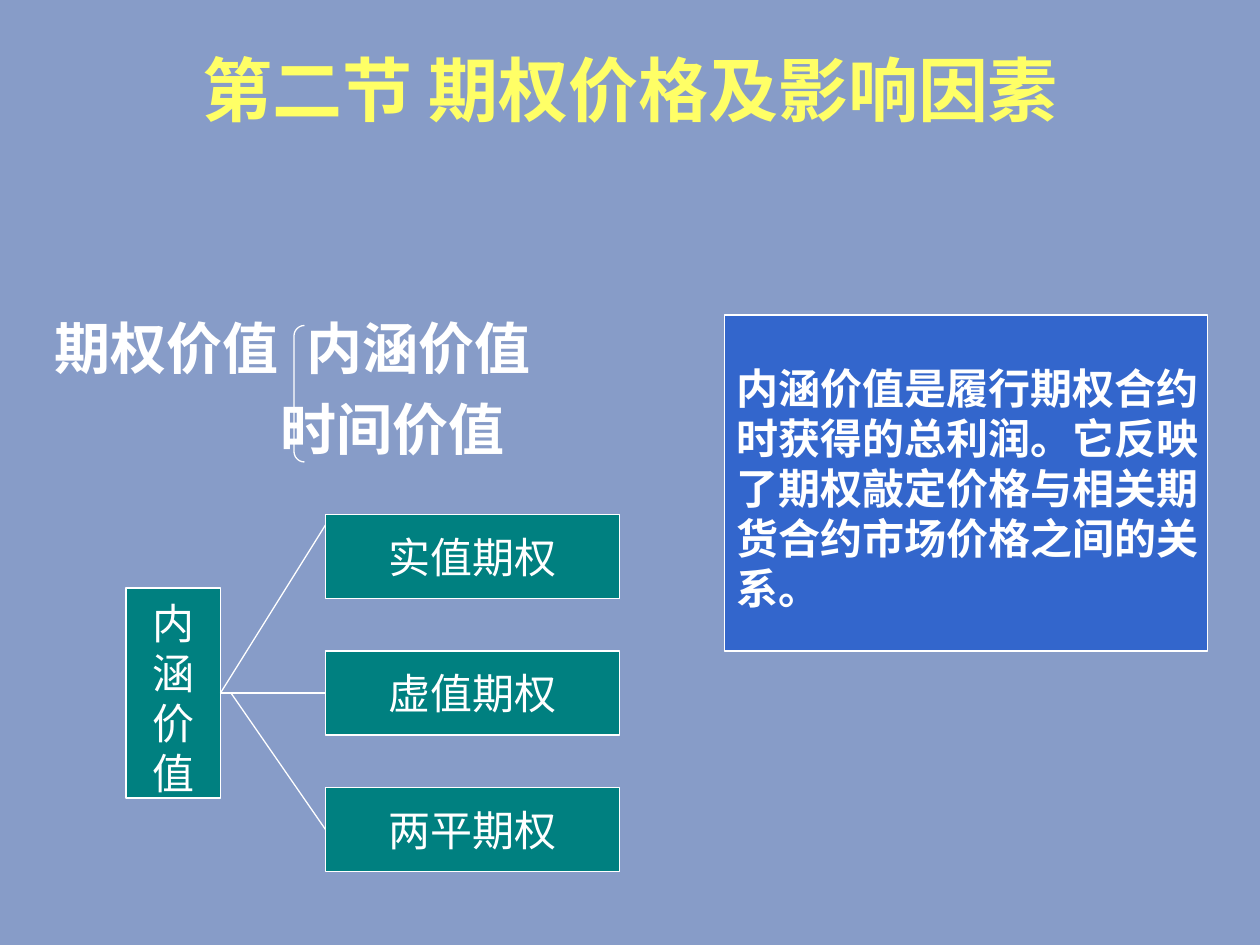
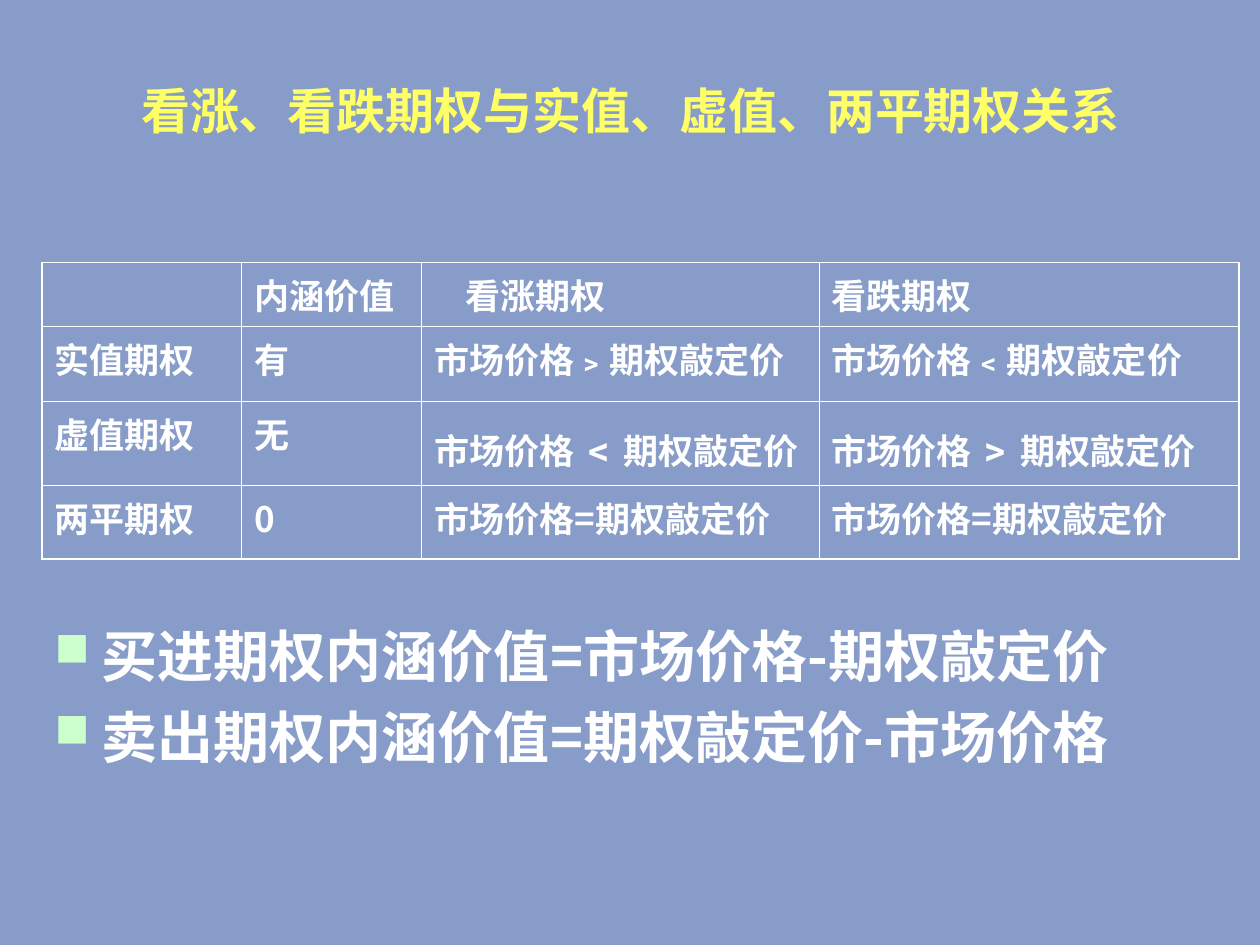
import pptx
import pptx.util
import pptx.dml.color
import pptx.enum.shapes
import pptx.enum.text
import pptx.oxml.ns
from lxml import etree

Pt = pptx.util.Pt
RGB = pptx.dml.color.RGBColor
SHAPE = pptx.enum.shapes.MSO_SHAPE
ALIGN = pptx.enum.text.PP_ALIGN
ANCHOR = pptx.enum.text.MSO_ANCHOR
qn = pptx.oxml.ns.qn

BACKDROP = RGB(0x87, 0x9C, 0xC8)
YELLOW = RGB(0xFF, 0xFF, 0x66)
WHITE = RGB(0xFF, 0xFF, 0xFF)
TEAL = RGB(0x00, 0x80, 0x80)
BLUE = RGB(0x33, 0x66, 0xCC)
MINT = RGB(0xCC, 0xFF, 0xCC)
LATIN, CJK = "Arial", "Noto Sans CJK SC"
TIGHT = 1.195  # line pitch of multi-line text, in font sizes
THIN, THICK = 0.45, 1.08


def add_slide(prs):
    s = prs.slides.add_slide(prs.slide_layouts[6])
    s.background.fill.solid()
    s.background.fill.fore_color.rgb = BACKDROP
    return s


def add_run(p, text, size, bold=True, font=CJK, color=WHITE):
    r = p.add_run()
    r.text = text
    r.font.size, r.font.bold, r.font.name = Pt(size), bold, font
    r.font.color.rgb = color
    latin = r._r.get_or_add_rPr().find(qn("a:latin"))
    ea = etree.Element(qn("a:ea"), typeface=CJK)
    latin.addnext(ea)


def set_indent(p, left, first=0):
    pPr = p._p.get_or_add_pPr()
    pPr.set("marL", str(Pt(left)))
    pPr.set("indent", str(Pt(first)))
    return pPr


def add_bullet(p):
    pPr = set_indent(p, 27, -27)
    color = etree.SubElement(pPr, qn("a:buClr"))
    etree.SubElement(color, qn("a:srgbClr"), val=str(MINT))
    etree.SubElement(pPr, qn("a:buSzPct"), val="85000")
    etree.SubElement(pPr, qn("a:buChar"), char="■")


def add_tab(p, position):
    tabs = etree.SubElement(set_indent(p, 0), qn("a:tabLst"))
    etree.SubElement(tabs, qn("a:tab"), pos=str(Pt(position)), algn="l")


def add_title(s, text, height, size, font):
    tf = s.shapes.add_textbox(Pt(24), Pt(18), Pt(672.5), Pt(height)).text_frame
    tf.word_wrap = True
    tf.vertical_anchor = ANCHOR.MIDDLE
    p = tf.paragraphs[0]
    p.alignment = ALIGN.CENTER
    add_run(p, text, size, font=font, color=YELLOW)


def add_body(s, top, height, lines, font):
    """Add 32 pt lines and return their paragraphs."""
    tf = s.shapes.add_textbox(Pt(24), Pt(top), Pt(672.5), Pt(height)).text_frame
    tf.word_wrap = True
    tf.margin_top = Pt(7.2)
    for i, line in enumerate(lines):
        p = tf.add_paragraph() if i else tf.paragraphs[0]
        p.line_spacing = Pt(32 * TIGHT)
        p.space_before = Pt(8 if i else 0)
        add_run(p, line, 32, font=font)
    return tf.paragraphs


def style_line(line):
    line.color.rgb = WHITE
    line.width = Pt(0.75)


def add_box(s, left, top, width, height, lines, fill=TEAL, bold=False,
            align=ALIGN.CENTER):
    sp = s.shapes.add_shape(SHAPE.RECTANGLE, Pt(left), Pt(top), Pt(width), Pt(height))
    sp.shadow.inherit = False
    sp.fill.solid()
    sp.fill.fore_color.rgb = fill
    style_line(sp.line)
    tf = sp.text_frame
    tf.word_wrap = False
    tf.vertical_anchor = ANCHOR.MIDDLE
    if len(lines) > 1:
        tf.margin_top = Pt(9)
    for i, line in enumerate(lines):
        p = tf.add_paragraph() if i else tf.paragraphs[0]
        p.alignment = align
        if len(lines) > 1:
            p.line_spacing = Pt(24 * TIGHT)
        add_run(p, line, 24, bold, LATIN)
    return sp


def add_bracket(s, left, top, width, height):
    sp = s.shapes.add_shape(SHAPE.LEFT_BRACKET, Pt(left), Pt(top), Pt(width), Pt(height))
    sp.adjustments[0] = 1
    sp.shadow.inherit = False
    sp.fill.background()
    style_line(sp.line)


def add_line(s, x1, y1, x2, y2):
    line = s.shapes.add_connector(pptx.enum.shapes.MSO_CONNECTOR.STRAIGHT,
                                  Pt(x1), Pt(y1), Pt(x2), Pt(y2))
    style_line(line.line)
    etree.SubElement(line._element.spPr, qn("a:effectLst"))
    return line


def set_borders(cell, widths):
    """Draw white borders; widths are left, right, top, bottom."""
    tcPr = cell._tc.get_or_add_tcPr()
    for i, (side, width) in enumerate(zip("LRTB", widths)):
        ln = etree.Element(qn("a:ln" + side), w=str(Pt(width)))
        fill = etree.SubElement(ln, qn("a:solidFill"))
        etree.SubElement(fill, qn("a:srgbClr"), val=str(WHITE))
        tcPr.insert(i, ln)


def add_grid(s, left, top, widths, heights, rows):
    """Add a table; a cell is a list of (text, size, font) runs."""
    table = s.shapes.add_table(len(rows), len(widths), Pt(left), Pt(top),
                               Pt(sum(widths)), Pt(sum(heights))).table
    table.first_row = table.horz_banding = False
    for column, width in zip(table.columns, widths):
        column.width = Pt(width)
    for row, height in zip(table.rows, heights):
        row.height = Pt(height)
    for i, row in enumerate(rows):
        for j, runs in enumerate(row):
            cell = table.cell(i, j)
            cell.fill.background()
            outer = (j == 0, j == len(widths) - 1, i == 0, i == len(rows) - 1)
            set_borders(cell, [THICK if edge else THIN for edge in outer])
            for text, size, font in runs:
                add_run(cell.text_frame.paragraphs[0], text, size, font=font)
    return table


def plain(text):
    return [(text, 20, CJK)] if text else []


def compare(sign):
    """Market price against strike price, with a large sign between."""
    return plain("市场价格") + [(sign, 28, LATIN)] + plain("期权敲定价")


def build_price_factors(prs):
    s = add_slide(prs)
    add_title(s, "第二节 期权价格及影响因素", 65, 40, CJK)
    parts = add_body(s, 172, 100, ["期权价值\t内涵价值", "时间价值"], LATIN)
    add_tab(parts[0], 148)
    set_indent(parts[1], 129.5)
    add_bracket(s, 168, 186, 6, 78)

    intrinsic = add_box(s, 72, 336, 54, 120, "内涵价值")
    kinds = [add_box(s, 186, 294 + 78 * i, 168, 48, [name])
             for i, name in enumerate(["实值期权", "虚值期权", "两平期权"])]
    to_first = add_line(s, 126, 396, 186, 300)
    to_first.begin_connect(intrinsic, 3)
    to_last = add_line(s, 132, 396, 186, 474)
    to_last.end_connect(kinds[2], 1)
    to_middle = add_line(s, 126, 396, 186, 396)
    to_middle.begin_connect(intrinsic, 3)
    to_middle.end_connect(kinds[1], 1)

    add_box(s, 414, 180, 276, 192,
            ["内涵价值是履行期权合约", "时获得的总利润。它反映", "了期权敲定价格与相关期",
             "货合约市场价格之间的关", "系。"], BLUE, True, ALIGN.LEFT)


def build_option_relations(prs):
    s = add_slide(prs)
    add_title(s, "看涨、看跌期权与实值、虚值、两平期权关系", 90, 28, LATIN)
    for p in add_body(s, 348, 132, ["买进期权内涵价值=市场价格-期权敲定价",
                                    "卖出期权内涵价值=期权敲定价-市场价格"], CJK):
        add_bullet(p)
    equal = plain("市场价格=期权敲定价")
    rows = [
        [plain(t) for t in ("", "内涵价值", "看涨期权", "看跌期权")],
        [plain(t) for t in ("实值期权", "有", "市场价格﹥期权敲定价", "市场价格﹤期权敲定价")],
        [plain("虚值期权"), plain("无"), compare("﹤"), compare("﹥")],
        [plain("两平期权"), plain("0"), equal, equal],
    ]
    table = add_grid(s, 24, 150, [114, 103, 227, 240], [36.5, 43, 48, 42], rows)
    set_indent(table.cell(0, 2).text_frame.paragraphs[0], 18)


def main():
    prs = pptx.Presentation()
    prs.slide_width, prs.slide_height = Pt(720), Pt(540)
    build_price_factors(prs)
    build_option_relations(prs)
    prs.save("out.pptx")


if __name__ == "__main__":
    main()
